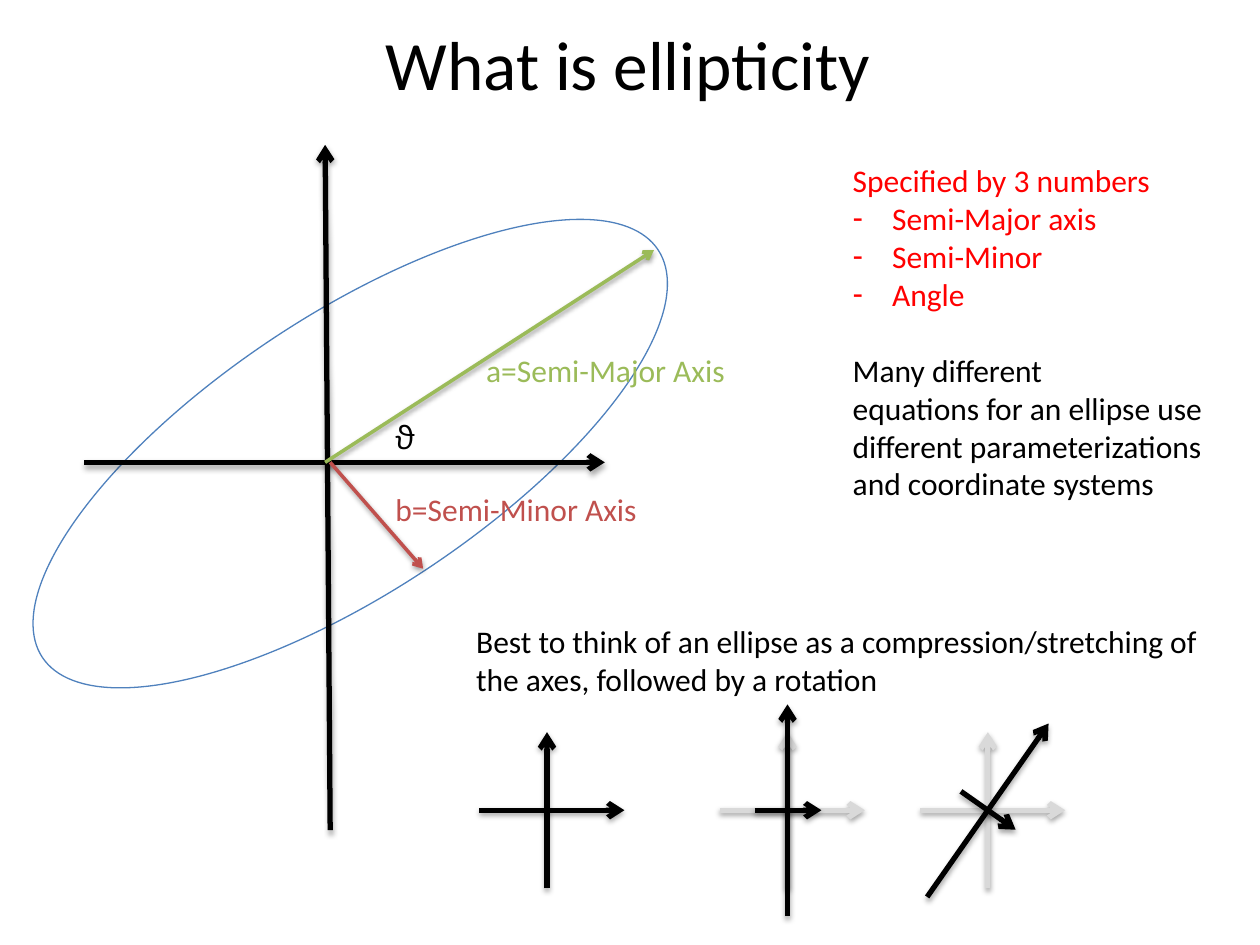
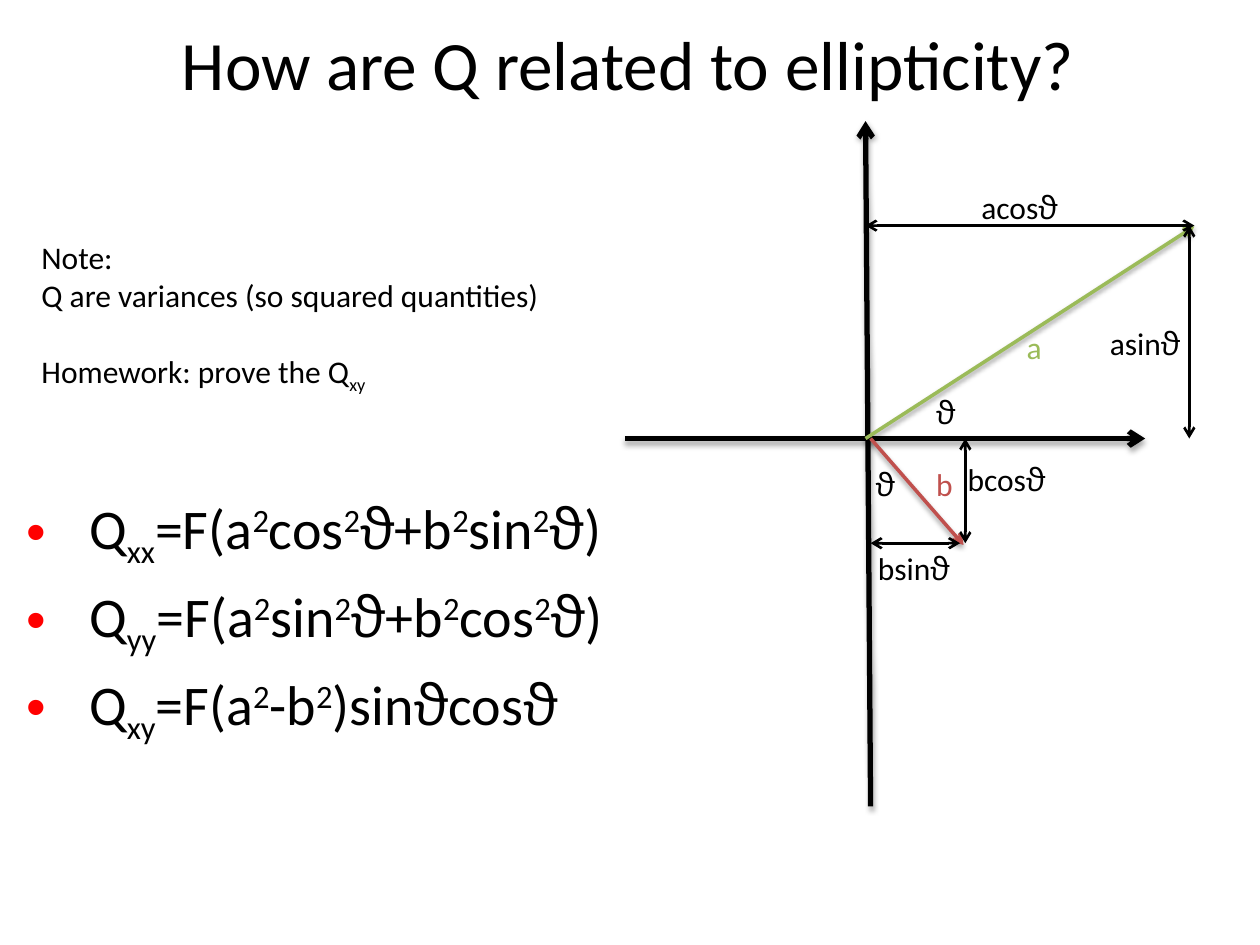
from dataclasses import dataclass
from itertools import groupby
from math import cos, radians, sin

from lxml import etree
from pptx import Presentation
from pptx.dml.color import RGBColor
from pptx.enum.shapes import MSO_CONNECTOR, MSO_SHAPE
from pptx.enum.text import MSO_ANCHOR, MSO_AUTO_SIZE, PP_ALIGN
from pptx.oxml.ns import qn
from pptx.util import Pt

STRAIGHT = MSO_CONNECTOR.STRAIGHT
OVAL = MSO_SHAPE.OVAL
MIDDLE = MSO_ANCHOR.MIDDLE
FIT_SHAPE = MSO_AUTO_SIZE.SHAPE_TO_FIT_TEXT
NO_FIT = MSO_AUTO_SIZE.NONE
CENTER = PP_ALIGN.CENTER

BLACK = RGBColor(0, 0, 0)
WHITE = RGBColor(255, 255, 255)
RED = RGBColor(255, 0, 0)
GRAY = RGBColor(0xD9, 0xD9, 0xD9)
BLUE = RGBColor(0x4F, 0x81, 0xBD)
MAJOR_GREEN = RGBColor(0x9B, 0xBB, 0x59)
MINOR_RED = RGBColor(0xC0, 0x50, 0x4D)

TEXT_FONT = "Calibri"
GREEK_FONT = "Open Sans"
THETA = "ϑ"
BASELINES = {"_": "-25000", "^": "30000"}
BLANK_LINE = 22

Point = tuple[float, float]


@dataclass(frozen=True)
class Arrow:
    start: Point
    end: Point
    color: RGBColor = BLACK
    width: float = 3
    double: bool = False
    shadow_distance: float = 1.8


@dataclass(frozen=True)
class Cross:
    """A pair of axes around a centre, turned clockwise by an angle."""
    center_x: float
    left: float = 38.6
    right: float = 44.2
    half_height: float = 44.6
    angle: float = 0
    color: RGBColor = BLACK


@dataclass(frozen=True)
class Line:
    """Text whose parts are split by |, with _ or ^ before a raised or lowered part."""
    markup: str
    color: RGBColor = BLACK
    bullet: str = ""
    indent: float = 0
    space_before: float = 0


@dataclass(frozen=True)
class Label:
    left: float
    top: float
    width: float
    height: float
    lines: tuple[Line, ...]
    size: float = 18
    wrap: bool = False


CROSS_Y = 463
CROSSES = (
    Cross(564.5, color=GRAY),
    Cross(450, color=GRAY),
    Cross(312.6),
    Cross(450, 18.8, 19.4, 60.5),
    Cross(564.5, 18.8, 19.4, 60.5, angle=35),
)

# Both diagrams use these arrows, measured from their origin.
AXIS_ARROWS = (
    Arrow((2.9, 210.2), (0, -181.4)),
    Arrow((-137.5, 0), (159.8, 0)),
    Arrow((0, 0), (187.9, -121.3), MAJOR_GREEN, 2, shadow_distance=1.6),
    Arrow((2.9, 0), (56, 60.8), MINOR_RED, 2, shadow_distance=1.6),
)
DIMENSION_ARROWS = tuple(
    Arrow(start, end, width=1.5, double=True, shadow_distance=0)
    for start, end in (
        ((2.9, 59.8), (54, 59.8)),
        ((0, -121.7), (187.9, -121.7)),
        ((185, 0), (185, -121.7)),
        ((57, 59.8), (57, 0)),
    )
)
ELLIPSE_ORIGIN = (185.8, 264.2)
PROJECTION_ORIGIN = (494.6, 250.6)

ELLIPSE_LABELS = (
    Label(218.9, 276.5, 154, 29, (Line("b=Semi-Minor Axis", MINOR_RED),)),
    Label(270.7, 197.3, 154, 29, (Line("a=Semi-Major Axis", MAJOR_GREEN),)),
    Label(218.9, 235.4, 26, 29, (Line(THETA),)),
    Label(480.2, 88.6, 217.4, 247, (
        Line("Specified by 3 numbers", RED),
        *(Line(name, RED, "-", 22.5)
          for name in ("Semi-Major axis", "Semi-Minor", "Angle")),
        Line("Many different", space_before=BLANK_LINE),
        Line("equations for an ellipse use"),
        Line("different parameterizations"),
        Line("and coordinate systems"),
    )),
    Label(265, 352.1, 433.4, 51, (
        Line("Best to think of an ellipse as a compression/stretching of"),
        Line("the axes, followed by a rotation"),
    )),
)

EQUATIONS = (
    "Q|_xx|=F(a|^2|cos|^2|ϑ+b|^2|sin|^2|ϑ)",
    "Q|_yy|=F(a|^2|sin|^2|ϑ+b|^2|cos|^2|ϑ)",
    "Q|_xy|=F(a|^2|-b|^2|)sinϑcosϑ",
)
PROJECTION_LABELS = (
    Label(7.9, 278.6, 702, 224.6, tuple(
        Line(equation, bullet="•", indent=36, space_before=6.4 if row else 0)
        for row, equation in enumerate(EQUATIONS)
    ), size=32, wrap=True),
    Label(527.8, 262.1, 23.8, 29, (Line("b", MINOR_RED),)),
    Label(579.6, 183.6, 23, 29, (Line("a", MAJOR_GREEN),)),
    Label(527.8, 221, 26, 29, (Line(THETA),)),
    Label(493.2, 262.1, 26, 29, (Line(THETA),)),
    Label(16.6, 132.5, 302.4, 94.3, (
        Line("Note:"),
        Line("Q are variances (so squared quantities)"),
        Line("Homework: prove the Q|_xy", space_before=BLANK_LINE),
    )),
    Label(553.7, 103.7, 59, 51, (Line("acosϑ"),)),
    Label(627.1, 181.4, 55.4, 51, (Line("asinϑ"),)),
    Label(494.6, 310.3, 56.2, 51, (Line("bsinϑ"),)),
    Label(545.8, 259.2, 59.8, 51, (Line("bcosϑ"),)),
)


def draw_arrow(shapes, arrow: Arrow, origin: Point = (0, 0)) -> None:
    ends = [Pt(base + offset) for point in (arrow.start, arrow.end)
            for base, offset in zip(origin, point)]
    connector = shapes.add_connector(STRAIGHT, *ends)
    connector.line.color.rgb = arrow.color
    connector.line.width = Pt(arrow.width)
    line = connector.line._get_or_add_ln()
    if arrow.double:
        etree.SubElement(line, qn("a:headEnd"), type="arrow")
    etree.SubElement(line, qn("a:tailEnd"), type="arrow")
    effects = etree.SubElement(connector._element.spPr, qn("a:effectLst"))
    if arrow.shadow_distance:
        opacity = "35000" if arrow.width == 3 else "38000"
        shadow = etree.SubElement(
            effects, qn("a:outerShdw"), blurRad=str(Pt(3.1)),
            dist=str(Pt(arrow.shadow_distance)), dir="5400000", rotWithShape="0")
        color = etree.SubElement(shadow, qn("a:srgbClr"), val=str(BLACK))
        etree.SubElement(color, qn("a:alpha"), val=opacity)


def draw_cross(slide, cross: Cross) -> None:
    turn = radians(cross.angle)

    def rotate(x: float, y: float) -> Point:
        return x * cos(turn) - y * sin(turn), x * sin(turn) + y * cos(turn)

    group = slide.shapes.add_group_shape()
    for start, end in (((0, cross.half_height), (0, -cross.half_height)),
                       ((-cross.left, 0), (cross.right, 0))):
        arrow = Arrow(rotate(*start), rotate(*end), cross.color)
        draw_arrow(group.shapes, arrow, (cross.center_x, CROSS_Y))


def add_bullet(paragraph, bullet: str, indent: float) -> None:
    properties = paragraph._p.get_or_add_pPr()
    properties.set("marL", str(Pt(indent)))
    properties.set("indent", str(Pt(-indent)))
    color = etree.SubElement(properties, qn("a:buClr"))
    etree.SubElement(color, qn("a:srgbClr"), val=str(RED))
    etree.SubElement(properties, qn("a:buFont"), typeface="Arial")
    etree.SubElement(properties, qn("a:buChar"), char=bullet)


def write_line(paragraph, line: Line, size: float) -> None:
    if line.bullet:
        add_bullet(paragraph, line.bullet, line.indent)
    paragraph.space_before = Pt(line.space_before)
    for part in line.markup.split("|"):
        baseline = BASELINES.get(part[0])
        text = part[1:] if baseline else part
        for is_theta, letters in groupby(text, lambda letter: letter == THETA):
            span = paragraph.add_run()
            span.text = "".join(letters)
            span.font.name = GREEK_FONT if is_theta else TEXT_FONT
            span.font.size = Pt(size)
            span.font.color.rgb = line.color
            if baseline:
                span._r.get_or_add_rPr().set("baseline", baseline)


def draw_label(slide, label: Label) -> None:
    box = slide.shapes.add_textbox(
        Pt(label.left), Pt(label.top), Pt(label.width), Pt(label.height))
    frame = box.text_frame
    frame.word_wrap = label.wrap
    frame.auto_size = NO_FIT if label.wrap else FIT_SHAPE
    for row, line in enumerate(label.lines):
        paragraph = frame.add_paragraph() if row else frame.paragraphs[0]
        write_line(paragraph, line, label.size)


def add_titled_slide(deck, text: str):
    slide = deck.slides.add_slide(deck.slide_layouts[5])
    title = slide.shapes.title
    title.left, title.top, title.width, title.height = Pt(7.9), Pt(6.5), Pt(702), Pt(59)
    title.text_frame.text = text
    title.text_frame.vertical_anchor = MIDDLE
    paragraph = title.text_frame.paragraphs[0]
    paragraph.alignment = CENTER
    font = paragraph.runs[0].font
    font.name, font.size = TEXT_FONT, Pt(39.6)
    font.color.rgb = BLACK
    return slide


def draw_ellipse(slide) -> None:
    ellipse = slide.shapes.add_shape(OVAL, Pt(-10.8), Pt(180), Pt(421.9), Pt(158.4))
    ellipse.rotation = 326.5
    ellipse.shadow.inherit = False
    ellipse.fill.solid()
    ellipse.fill.fore_color.rgb = WHITE
    ellipse.line.color.rgb = BLUE
    ellipse.line.width = Pt(0.75)


def build_ellipse_slide(deck) -> None:
    slide = add_titled_slide(deck, "What is ellipticity")
    draw_ellipse(slide)
    for arrow in AXIS_ARROWS:
        draw_arrow(slide.shapes, arrow, ELLIPSE_ORIGIN)
    for label in ELLIPSE_LABELS:
        draw_label(slide, label)
    for cross in CROSSES:
        draw_cross(slide, cross)


def build_projection_slide(deck) -> None:
    slide = add_titled_slide(deck, "How are Q related to ellipticity?")
    for label in PROJECTION_LABELS:
        draw_label(slide, label)
    for arrow in AXIS_ARROWS + DIMENSION_ARROWS:
        draw_arrow(slide.shapes, arrow, PROJECTION_ORIGIN)


def main() -> None:
    deck = Presentation()
    deck.slide_width, deck.slide_height = Pt(720), Pt(540)
    build_ellipse_slide(deck)
    build_projection_slide(deck)
    deck.save("out.pptx")


if __name__ == "__main__":
    main()
